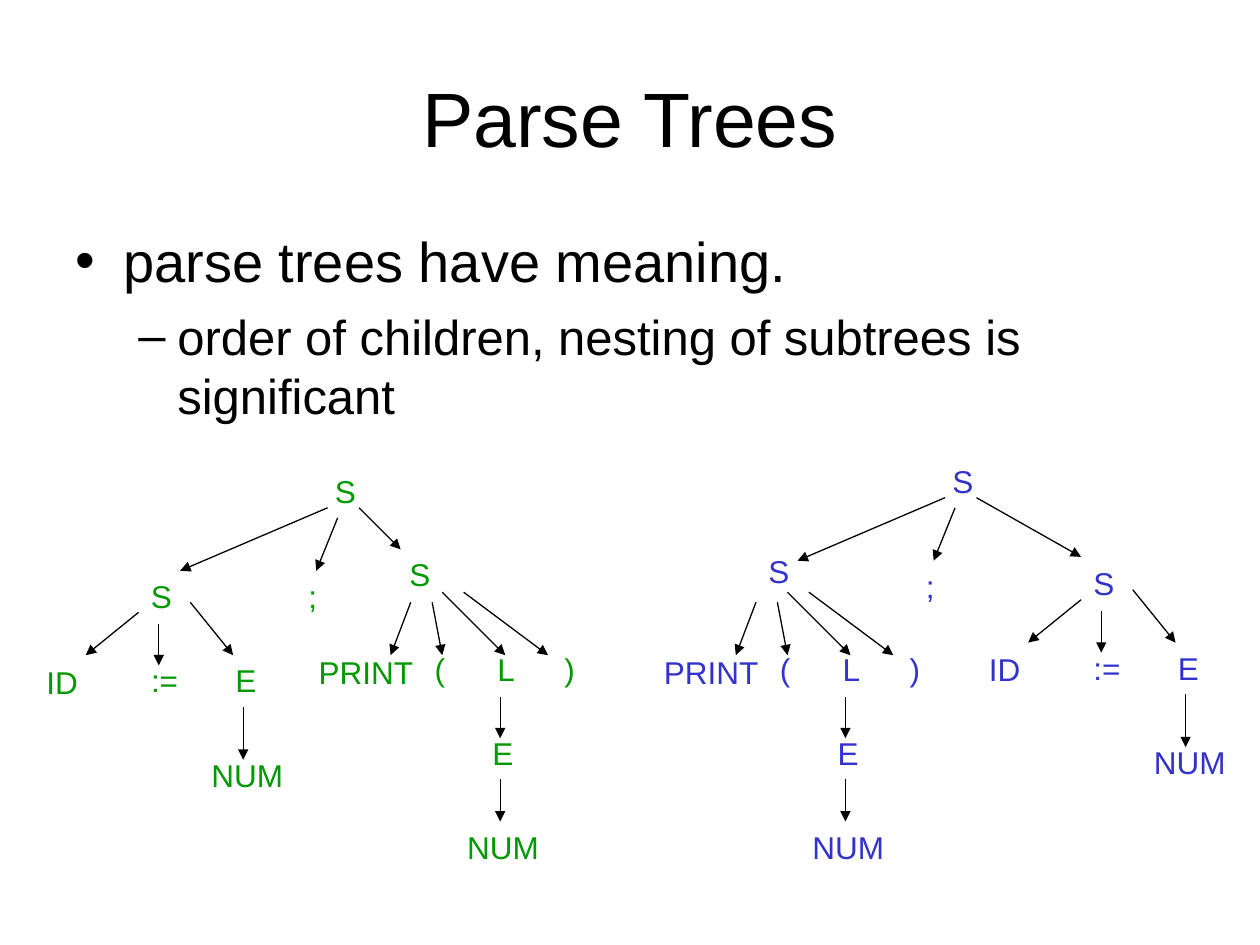
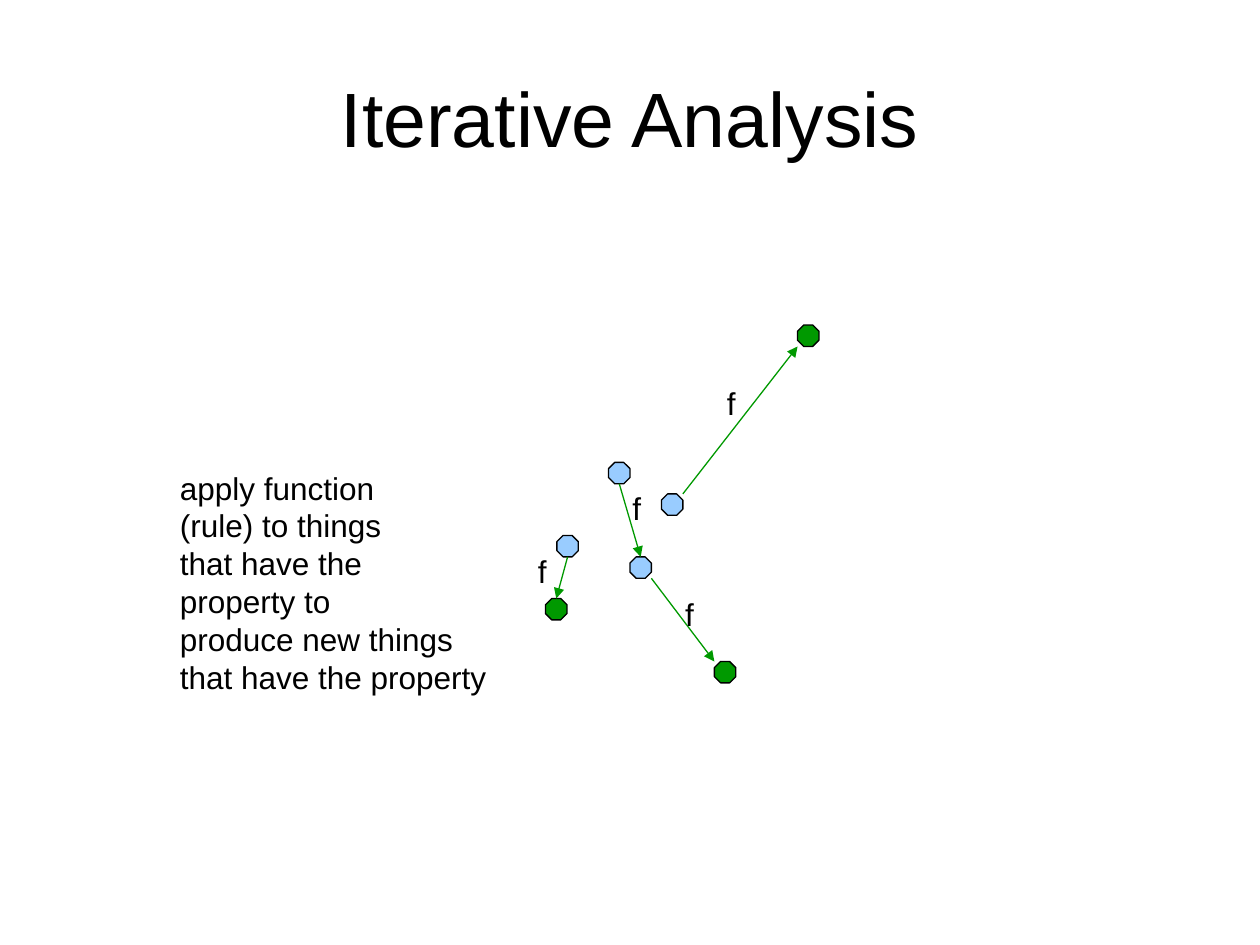
"""Builds two slides: parse trees and iterative analysis."""
from lxml.etree import SubElement
from pptx import Presentation
from pptx.dml.color import RGBColor
from pptx.enum.shapes import MSO_CONNECTOR, MSO_SHAPE
from pptx.enum.text import MSO_ANCHOR, MSO_AUTO_SIZE, PP_ALIGN
from pptx.oxml.ns import qn
from pptx.util import Inches, Pt

FONT = "Arial"
BLACK, GREEN, BLUE, SKY = "000000", "009900", "3333CC", "99CCFF"

POINTS = [
    dict(text="parse trees have meaning.", size=32, mark="•", indent=0.38, hang=0.38, before=0),
    dict(text="order of children, nesting of subtrees is significant",
         size=28, mark="–", indent=0.81, hang=0.31, before=7),
]

LABEL_HEIGHT = 0.4
LABEL_WIDTHS = {"S": 0.36, "E": 0.36, "L": 0.34, "ID": 0.45, ":=": 0.42, "NUM": 0.77,
                "PRINT": 0.95, "(": 0.28, ")": 0.28, ";": 0.27, "f": 0.27}

SEQUENCE = dict(
    labels=[("S", 0, 0), (";", -0.21, 0.83)],
    arrows=[(0.04, 0.33, -1.13, 0.83), (0.12, 0.41, -0.05, 0.83)],
)
ASSIGNMENT = dict(
    labels=[("S", 0, 0), ("ID", -0.83, 0.68), (":=", 0, 0.67), ("E", 0.67, 0.67),
            ("NUM", 0.48, 1.42)],
    arrows=[(0, 0.33, -0.42, 0.67), (0.16, 0.42, 0.16, 0.75), (0.41, 0.25, 0.75, 0.67),
            (0.83, 1.08, 0.83, 1.5)],
)
PRINTING = dict(
    labels=[("PRINT", 0, 0.43), ("(", 0.92, 0.41), ("L", 1.42, 0.41), (")", 1.95, 0.41),
            ("E", 1.38, 1.08), ("NUM", 1.18, 1.82)],
    arrows=[(0.83, 0.08, 0.67, 0.5), (1, 0.08, 1.08, 0.5), (1.08, 0, 1.58, 0.5),
            (1.25, 0, 1.92, 0.5), (1.54, 0.83, 1.54, 1.16), (1.54, 1.48, 1.54, 1.82)],
)
RIGHT_BRANCH_START = (0.29, 0.33)
TREES = [
    dict(color=GREEN, sequence=(2.56, 3.7), assignment=(1.1, 4.53), printing=(2.43, 4.7),
         printing_head=(3.15, 4.36), right_branch_end=(3.18, 4.36)),
    dict(color=BLUE, sequence=(7.46, 3.62), assignment=(8.58, 4.43), printing=(5.17, 4.7),
         printing_head=(6, 4.33), right_branch_end=(8.58, 4.42)),
]

RULE = ["apply function", "(rule) to things", "that have the", "property to",
        "produce new things", "that have the property"]
THING_SIZE = 0.17
THINGS = {
    "left": (4.42, 4.25, SKY), "right": (5.25, 3.92, SKY),
    "top": (4.83, 3.67, SKY), "middle": (5, 4.42, SKY),
    "new left": (4.33, 4.75, GREEN), "new top": (6.33, 2.58, GREEN),
    "new bottom": (5.67, 5.25, GREEN),
}
TOP, BOTTOM = (0.5, 0), (0.5, 1)
TOP_LEFT, TOP_RIGHT, BOTTOM_LEFT, BOTTOM_RIGHT = (0, 0), (1, 0), (0, 1), (1, 1)
APPLICATIONS = [
    ("left", BOTTOM, "new left", TOP, (4.17, 4.33)),
    ("right", TOP_RIGHT, "new top", BOTTOM_LEFT, (5.67, 3)),
    ("middle", BOTTOM_RIGHT, "new bottom", TOP_LEFT, (5.34, 4.67)),
    ("top", BOTTOM, "middle", TOP, (4.92, 3.83)),
]


def rgb(code):
    return RGBColor.from_string(code)


def add_text(slide, lines, box, size=18, color=BLACK, align=PP_ALIGN.LEFT,
             anchor=MSO_ANCHOR.TOP, wrap=False):
    frame = slide.shapes.add_textbox(*map(Inches, box)).text_frame
    frame.word_wrap = wrap
    frame.auto_size = MSO_AUTO_SIZE.NONE if wrap else MSO_AUTO_SIZE.SHAPE_TO_FIT_TEXT
    frame.vertical_anchor = anchor
    for row, line in enumerate(lines):
        style = line if isinstance(line, dict) else dict(text=line)
        paragraph = frame.paragraphs[0] if row == 0 else frame.add_paragraph()
        paragraph.text = style["text"]
        paragraph.alignment = align
        paragraph.space_before = Pt(style.get("before", 0))
        if "mark" in style:
            properties = paragraph._p.get_or_add_pPr()
            properties.set("marL", str(Inches(style["indent"])))
            properties.set("indent", str(-Inches(style["hang"])))
            SubElement(properties, qn("a:buFont")).set("typeface", FONT)
            SubElement(properties, qn("a:buChar")).set("char", style["mark"])
        paragraph.font.name = FONT
        paragraph.font.size = Pt(style.get("size", size))
        paragraph.font.color.rgb = rgb(color)


def add_label(slide, text, x, y, color=BLACK):
    add_text(slide, [text], (x, y, LABEL_WIDTHS[text], LABEL_HEIGHT), color=color)


def add_arrow(slide, start, end, color=BLACK):
    arrow = slide.shapes.add_connector(MSO_CONNECTOR.STRAIGHT, *map(Inches, (*start, *end)))
    arrow.line.color.rgb = rgb(color)
    arrow.line.width = Pt(0.75)
    SubElement(arrow.line._get_or_add_ln(), qn("a:tailEnd")).set("type", "triangle")
    SubElement(arrow._element.spPr, qn("a:effectLst"))


def add_subtree(slide, subtree, origin, color):
    left, top = origin
    for text, x, y in subtree["labels"]:
        add_label(slide, text, left + x, top + y, color)
    for x1, y1, x2, y2 in subtree["arrows"]:
        add_arrow(slide, (left + x1, top + y1), (left + x2, top + y2))


def add_thing(slide, x, y, color):
    thing = slide.shapes.add_shape(MSO_SHAPE.OCTAGON,
                                   *map(Inches, (x, y, THING_SIZE, THING_SIZE)))
    thing.adjustments[0] = 0.29
    thing.shadow.inherit = False
    thing.fill.solid()
    thing.fill.fore_color.rgb = rgb(color)
    thing.line.color.rgb = rgb(BLACK)
    thing.line.width = Pt(0.75)


def anchor_point(name, share):
    return tuple(THINGS[name][axis] + THING_SIZE * share[axis] for axis in (0, 1))


def add_titled_slide(deck, title):
    slide = deck.slides.add_slide(deck.slide_layouts[6])
    add_text(slide, [title], (0.5, 0.3, 9, 1.25), size=44, align=PP_ALIGN.CENTER,
             anchor=MSO_ANCHOR.MIDDLE, wrap=True)
    return slide


def build_parse_trees(deck):
    slide = add_titled_slide(deck, "Parse Trees")
    add_text(slide, POINTS, (0.5, 1.75, 9, 4.95), wrap=True)
    for tree in TREES:
        color = tree["color"]
        add_subtree(slide, SEQUENCE, tree["sequence"], color)
        add_subtree(slide, ASSIGNMENT, tree["assignment"], color)
        add_subtree(slide, PRINTING, tree["printing"], color)
        add_label(slide, "S", *tree["printing_head"], color)
        branch_start = [a + b for a, b in zip(tree["sequence"], RIGHT_BRANCH_START)]
        add_arrow(slide, branch_start, tree["right_branch_end"])


def build_iterative_analysis(deck):
    slide = add_titled_slide(deck, "Iterative Analysis")
    for thing in THINGS.values():
        add_thing(slide, *thing)
    add_text(slide, RULE, (1.33, 3.67, 2.63, 1.9))
    for source, leave, result, arrive, label_place in APPLICATIONS:
        add_arrow(slide, anchor_point(source, leave), anchor_point(result, arrive), GREEN)
        add_label(slide, "f", *label_place)


def main():
    deck = Presentation()
    deck.slide_width, deck.slide_height = Inches(10), Inches(7.5)
    build_parse_trees(deck)
    build_iterative_analysis(deck)
    deck.save("out.pptx")


if __name__ == "__main__":
    main()
